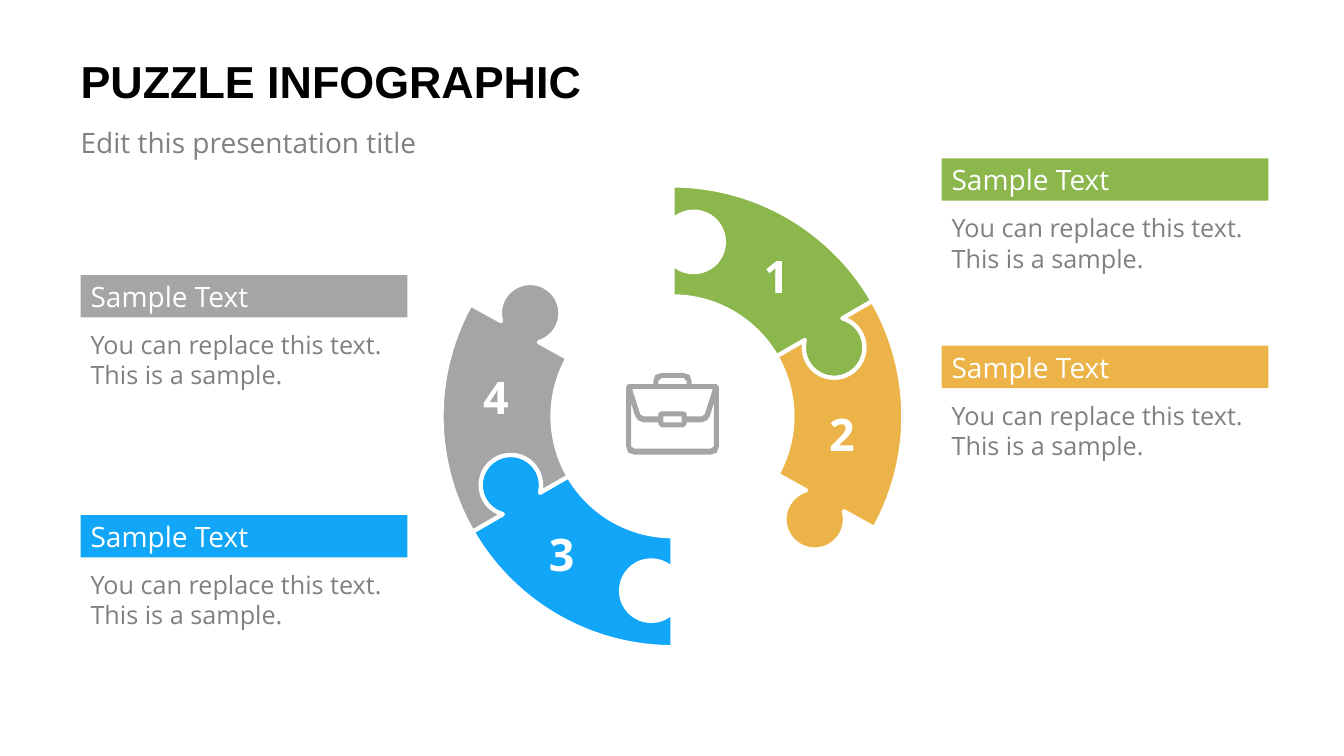
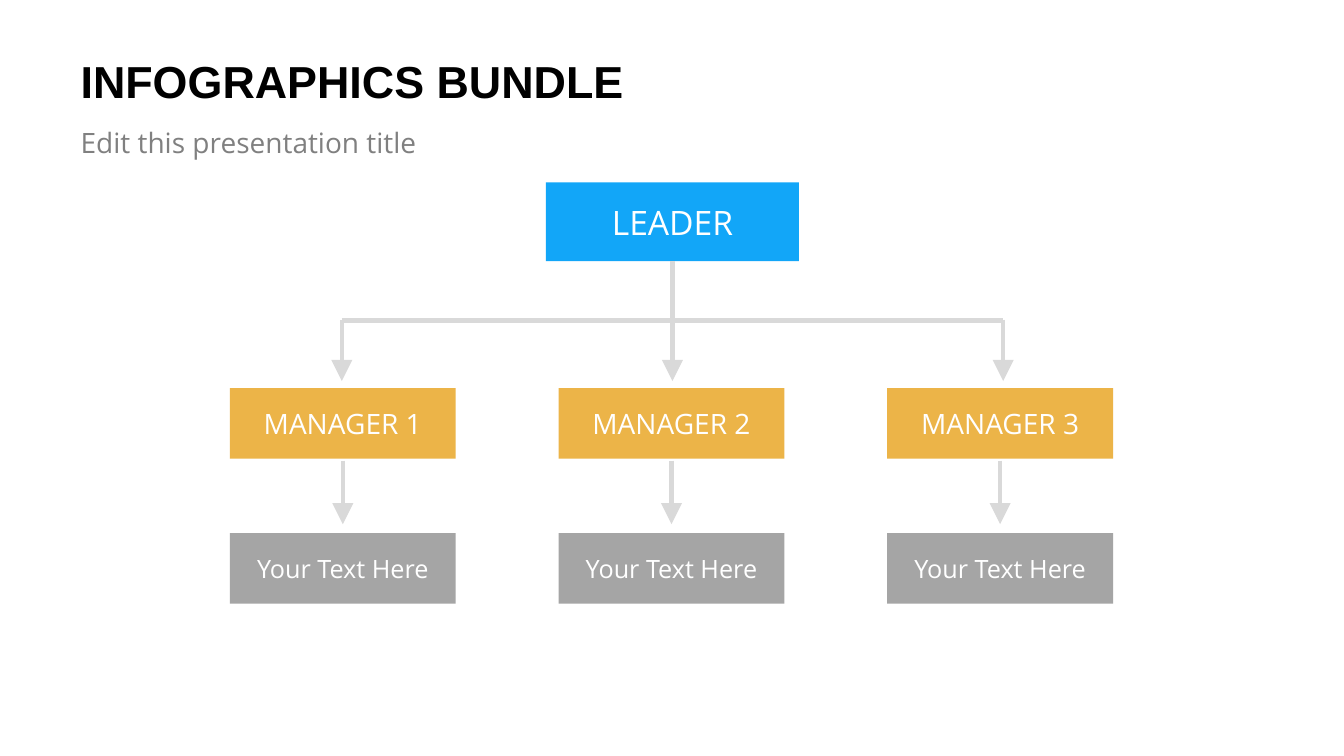
"""Build a puzzle-ring infographic and a small organisation chart."""
from math import asin, cos, degrees, radians, sin, tan

from lxml import etree
from pptx import Presentation
from pptx.dml.color import RGBColor
from pptx.enum.shapes import MSO_CONNECTOR, MSO_SHAPE
from pptx.enum.text import MSO_ANCHOR, PP_ALIGN
from pptx.oxml.ns import qn
from pptx.util import Inches, Pt

RECT, STRAIGHT = MSO_SHAPE.RECTANGLE, MSO_CONNECTOR.STRAIGHT
LEFT, CENTER = PP_ALIGN.LEFT, PP_ALIGN.CENTER
TOP, MIDDLE = MSO_ANCHOR.TOP, MSO_ANCHOR.MIDDLE

WIDTH, HEIGHT = 13.33, 7.5
GREEN, ORANGE, BLUE, GREY = "8BB74C", "ECB448", "12A6F8", "A5A5A5"
WHITE, BLACK, BODY_GREY, LINE_GREY = "FFFFFF", "000000", "808080", "D9D9D9"
HEADING_FONT, BODY_FONT = "Arial", "Open Sans"

SUBTITLE = "Edit this presentation title"
PUZZLE_TITLE = "PUZZLE INFOGRAPHIC"
CHART_TITLE = "INFOGRAPHICS BUNDLE"
CARD_HEADING = "Sample Text"
CARD_BODY = "You can replace this text. This is a sample."

LEFT_CARDS, RIGHT_CARDS = 0.8, 9.34
PIECES = [
    {"number": "2", "fill": ORANGE, "arc": (60, 59), "label": (8.12, 3.99),
     "card": (RIGHT_CARDS, 3.43)},
    {"number": "1", "fill": GREEN, "arc": (0, 60), "label": (7.47, 2.42),
     "card": (RIGHT_CARDS, 1.57)},
    {"number": "3", "fill": BLUE, "arc": (180, 60), "label": (5.34, 5.18),
     "card": (LEFT_CARDS, 5.11)},
    {"number": "4", "fill": GREY, "arc": (240, 59), "label": (4.69, 3.62),
     "card": (LEFT_CARDS, 2.73)},
]
RING = (6.67, 4.13)
OUTER, INNER, MID = 2.29, 1.19, 1.73
KNOB, KNOB_OFFSET = 0.3, 0.21

BRIEFCASE_AXIS = 6.67
BRIEFCASE_HALVES = [
    [(0.11, 3.7), (0.17, 3.72), (0.19, 3.78), (0.19, 3.81), (0.44, 3.81),
     (0.46, 3.84), (0.46, 4.43), (0.44, 4.49), (0.38, 4.51)],
    [(0.11, 3.75), (0.14, 3.78), (0.14, 3.81)],
    [(0.4, 3.86), (0.32, 4.11), (0.29, 4.13), (0.14, 4.13), (0.14, 4.1),
     (0.11, 4.08)],
    [(0.09, 4.13), (0.09, 4.19)],
    [(0.11, 4.24), (0.14, 4.21), (0.14, 4.19), (0.29, 4.19), (0.34, 4.17),
     (0.37, 4.13), (0.41, 4), (0.41, 4.43), (0.38, 4.45)],
]

LEADER = "LEADER"
BRANCHES = [
    ("MANAGER 1", "Your Text Here"),
    ("MANAGER 2", "Your Text Here"),
    ("MANAGER 3", "Your Text Here"),
]
LEADER_AXIS, DROP_PITCH = 6.67, 3.28
BRANCH_AXIS, BRANCH_PITCH = 6.66, 3.26
LEADER_BOX = (2.51, 0.78)
BRANCH_BOX = (2.24, 0.7)
LEADER_TOP, RAIL, MANAGER_TOP, TASK_TOP = 1.81, 3.18, 3.85, 5.29


def color(value):
    return RGBColor.from_string(value)


def paint(shape, fill, line=None):
    shape.shadow.inherit = False
    shape.fill.solid()
    shape.fill.fore_color.rgb = color(fill)
    if line:
        shape.line.color.rgb = color(line)
        shape.line.width = Pt(3)
    else:
        shape.line.fill.background()


def write(shape, text, size, ink, align=LEFT, anchor=TOP, font=BODY_FONT,
          bold=False, wrap=True):
    frame = shape.text_frame
    frame.word_wrap = wrap
    frame.vertical_anchor = anchor
    paragraph = frame.paragraphs[0]
    paragraph.text = text
    paragraph.alignment = align
    paragraph.font.name = font
    paragraph.font.size = Pt(size)
    paragraph.font.bold = bold
    paragraph.font.color.rgb = color(ink)
    return frame


def add_text(slide, box, *args, **style):
    return write(slide.shapes.add_textbox(*map(Inches, box)), *args, **style)


def add_box(slide, box, fill, *args, **style):
    shape = slide.shapes.add_shape(RECT, *map(Inches, box))
    paint(shape, fill)
    write(shape, *args, anchor=MIDDLE, **style)
    return shape


def add_outline(slide, contours, fill, line=None):
    builder = None
    for contour in contours:
        start, *rest = [(Inches(x), Inches(y)) for x, y in contour]
        if builder is None:
            builder = slide.shapes.build_freeform(*start)
        else:
            builder.move_to(*start)
        builder.add_line_segments(rest, close=True)
    shape = builder.convert_to_shape()
    paint(shape, fill, line)
    return shape


def bend(shape):
    segments = list(shape._element.iter(qn("a:lnTo")))
    for first, second, third in zip(*[iter(segments)] * 3):
        curve = etree.Element(qn("a:cubicBezTo"))
        first.addprevious(curve)
        for segment in (first, second, third):
            curve.append(segment[0])
            segment.getparent().remove(segment)


def add_line(slide, start, end, arrow=False):
    connector = slide.shapes.add_connector(STRAIGHT, *map(Inches, start + end))
    connector.line.color.rgb = color(LINE_GREY)
    connector.line.width = Pt(3)
    if arrow:
        etree.SubElement(connector.line._get_or_add_ln(), qn("a:tailEnd"),
                         type="triangle", w="lg", len="lg")
    etree.SubElement(connector._element.spPr, qn("a:effectLst"))
    return connector


def new_slide(deck, title):
    slide = deck.slides.add_slide(deck.slide_layouts[6])
    heading = add_text(slide, (0.67, 0.41, 8.5, 0.78), title, 32, BLACK,
                       anchor=MIDDLE, font=HEADING_FONT, bold=True)
    subtitle = add_text(slide, (0.67, 1.18, 4.33, 0.56), SUBTITLE, 20, BODY_GREY)
    for frame in (heading, subtitle):
        frame.margin_left = frame.margin_right = Inches(0.13)
        frame.margin_top = frame.margin_bottom = Inches(0.07)
    return slide


def polar(center, radius, angle, along=0):
    turn = radians(angle)
    return (center[0] + radius * sin(turn) + along * cos(turn),
            center[1] - radius * cos(turn) + along * sin(turn))


def arc(center, radius, start, sweep, parts):
    """Return the start point and the Bezier triples of a circular arc."""
    step = sweep / parts
    handle = radius * tan(radians(step) / 4) * 4 / 3
    points = [polar(center, radius, start)]
    for i in range(parts):
        here = start + i * step
        points += [polar(center, radius, here, handle),
                   polar(center, radius, here + step, -handle),
                   polar(center, radius, here + step)]
    return points


def knob_arc(edge):
    neck = degrees(asin(KNOB_OFFSET / KNOB))
    center = polar(RING, MID, edge, KNOB_OFFSET)
    return arc(center, KNOB, edge - neck, 180 + 2 * neck, 4)


def add_piece(slide, fill, start, sweep):
    outline = arc(RING, OUTER, start, sweep, 1)
    for side in (knob_arc(start + sweep),
                 arc(RING, INNER, start + sweep, -sweep, 1),
                 knob_arc(start)[::-1]):
        outline += [outline[-1], side[0], *side]
    bend(add_outline(slide, [outline], fill, WHITE))


def add_briefcase(slide):
    contours = [[(BRIEFCASE_AXIS - dx, y) for dx, y in half]
                + [(BRIEFCASE_AXIS + dx, y) for dx, y in half[::-1]]
                for half in BRIEFCASE_HALVES]
    add_outline(slide, contours, GREY)


def build_puzzle(deck):
    slide = new_slide(deck, PUZZLE_TITLE)
    for piece in PIECES:
        add_piece(slide, piece["fill"], *piece["arc"])
    add_briefcase(slide)
    for piece in PIECES:
        add_text(slide, (*piece["label"], 0.46, 0.64), piece["number"], 32, WHITE,
                 align=CENTER, bold=True, wrap=False)
        x, y = piece["card"]
        add_text(slide, (x, y + 0.49, 3.24, 0.71), CARD_BODY, 18, BODY_GREY)
        add_box(slide, (x, y, 3.24, 0.42), piece["fill"], CARD_HEADING, 20, WHITE)


def centered(axis, top, size):
    return (axis - size[0] / 2, top, *size)


def spread(axis, pitch):
    middle = (len(BRANCHES) - 1) / 2
    return [axis + (i - middle) * pitch for i in range(len(BRANCHES))]


def build_chart(deck):
    slide = new_slide(deck, CHART_TITLE)
    drops = spread(LEADER_AXIS, DROP_PITCH)
    axes = spread(BRANCH_AXIS, BRANCH_PITCH)
    add_line(slide, (drops[0], RAIL), (drops[-1], RAIL))
    leader = add_box(slide, centered(LEADER_AXIS, LEADER_TOP, LEADER_BOX), BLUE,
                     LEADER, 24, WHITE, align=CENTER)
    trunk = add_line(slide, (LEADER_AXIS, LEADER_TOP + LEADER_BOX[1]),
                     (LEADER_AXIS, RAIL))
    trunk.begin_connect(leader, 2)
    for drop, axis, (manager, task) in zip(drops, axes, BRANCHES):
        add_line(slide, (drop, RAIL - 0.01), (drop, MANAGER_TOP - 0.07), arrow=True)
        add_box(slide, centered(axis, MANAGER_TOP, BRANCH_BOX), ORANGE,
                manager, 20, WHITE, align=CENTER)
        add_line(slide, (axis, MANAGER_TOP + BRANCH_BOX[1] + 0.02),
                 (axis, TASK_TOP - 0.09), arrow=True)
        add_box(slide, centered(axis, TASK_TOP, BRANCH_BOX), GREY,
                task, 18, WHITE, align=CENTER)


def main():
    deck = Presentation()
    deck.slide_width, deck.slide_height = Inches(WIDTH), Inches(HEIGHT)
    build_puzzle(deck)
    build_chart(deck)
    deck.save("out.pptx")


if __name__ == "__main__":
    main()
